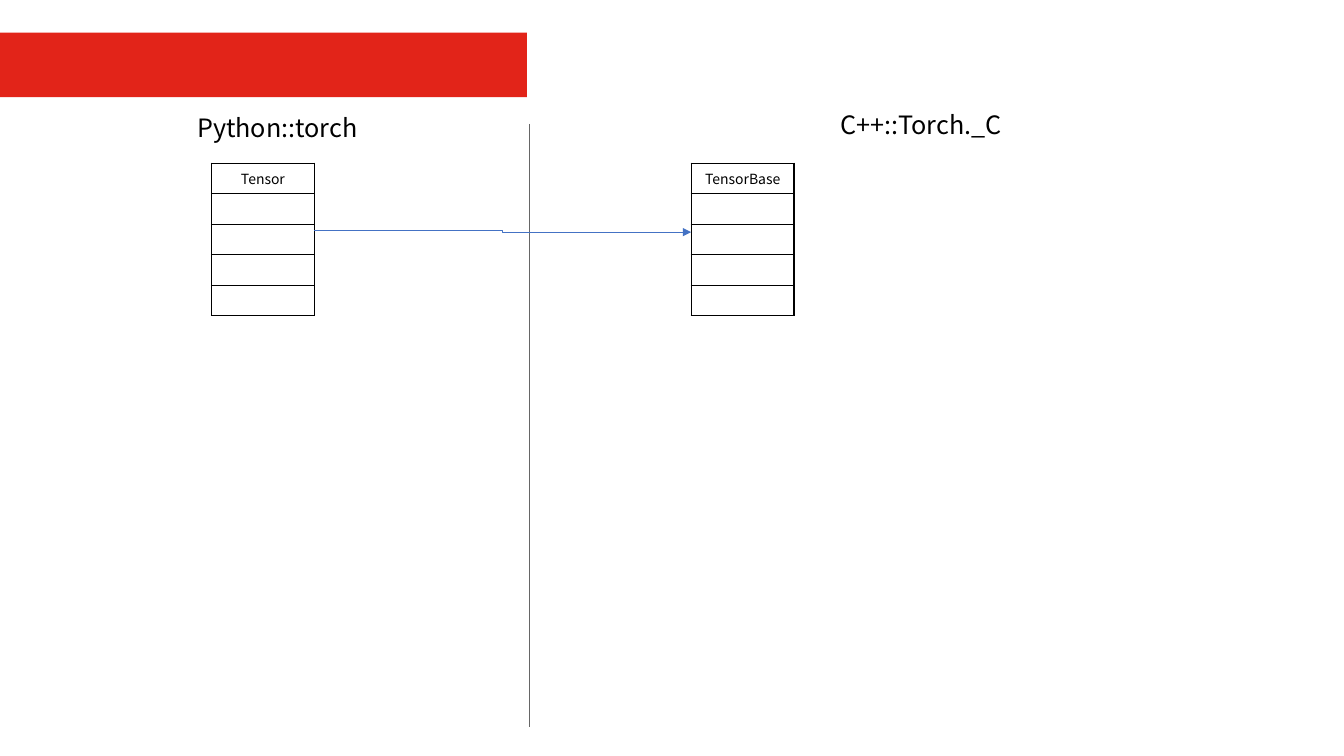
from lxml.etree import SubElement
from pptx import Presentation
from pptx.dml.color import RGBColor
from pptx.enum.shapes import MSO_CONNECTOR as Connector, MSO_SHAPE as Shape
from pptx.enum.text import MSO_ANCHOR as Anchor, PP_ALIGN as Align
from pptx.oxml.ns import qn
from pptx.util import Cm, Pt


def color(value):
    return RGBColor.from_string(value)


class SlideBuilder:
    FONT = "Noto Sans CJK SC"
    INK = "000000"
    RED = "E22419"
    BLUE = "4472C4"
    GRAY = "666666"
    CELL_SIZE = 10
    ROW_HEIGHT = 0.77

    def __init__(self, slide):
        self.slide = slide
        self.shapes = slide.shapes

    def style_runs(self, paragraph, size):
        for run in paragraph.runs:
            run.font.name = self.FONT
            run.font.size = Pt(size)
            run.font.color.rgb = color(self.INK)

    def bar(self, left, top, width, height):
        shape = self.shapes.add_shape(
            Shape.RECTANGLE, Cm(left), Cm(top), Cm(width), Cm(height))
        shape.shadow.inherit = False
        shape.fill.solid()
        shape.fill.fore_color.rgb = color(self.RED)
        shape.line.fill.background()

    def heading(self, text, left, top):
        box = self.shapes.add_textbox(Cm(left), Cm(top), Cm(5.59), Cm(1.02))
        box.text_frame.word_wrap = True
        box.text_frame.text = text
        self.style_runs(box.text_frame.paragraphs[0], 18)

    def class_table(self, name, left, top, width=2.59, rows=5):
        frame = self.shapes.add_table(
            rows, 1, Cm(left), Cm(top), Cm(width), Cm(self.ROW_HEIGHT * rows))
        table = frame.table
        table.first_row = table.horz_banding = False
        table.cell(0, 0).text_frame.text = name
        for row in table.rows:
            row.height = Cm(self.ROW_HEIGHT)
            self.style_cell(row.cells[0])

    def style_cell(self, cell):
        paragraph = cell.text_frame.paragraphs[0]
        paragraph.alignment = Align.CENTER
        self.style_runs(paragraph, self.CELL_SIZE)
        # Empty cells need the small size too, or their rows grow
        end = paragraph._p.get_or_add_endParaRPr()
        end.set("sz", str(self.CELL_SIZE * 100))
        SubElement(end, qn("a:latin"), typeface=self.FONT)
        cell.vertical_anchor = Anchor.MIDDLE
        properties = cell._tc.get_or_add_tcPr()
        for side in ("a:lnL", "a:lnR", "a:lnT", "a:lnB"):
            border = SubElement(properties, qn(side), w=str(Pt(1)))
            fill = SubElement(border, qn("a:solidFill"))
            SubElement(fill, qn("a:srgbClr"), val=self.INK)
        cell.fill.background()

    def line(self, start, end, line_color, kind=Connector.STRAIGHT, arrow=False):
        points = [Cm(value) for value in (*start, *end)]
        connector = self.shapes.add_connector(kind, *points)
        connector.line.width = Pt(0.5)
        connector.line.color.rgb = color(line_color)
        if arrow:
            SubElement(connector.line._get_or_add_ln(), qn("a:tailEnd"),
                       type="triangle")
        SubElement(connector._element.spPr, qn("a:effectLst"))


def main():
    presentation = Presentation()
    presentation.slide_width, presentation.slide_height = Cm(33.87), Cm(19.05)
    slide = presentation.slides.add_slide(presentation.slide_layouts[6])
    builder = SlideBuilder(slide)

    # Title bar
    builder.bar(0, 0.82, 13.28, 1.63)

    # Classes on each side
    builder.class_table("TensorBase", 17.42, 4.11)
    builder.class_table("Tensor", 5.33, 4.11)

    # Divider and headings
    builder.line((13.34, 3.12), (13.34, 18.31), builder.GRAY)
    builder.heading("C++::Torch._C", 20.93, 2.62)
    builder.heading("Python::torch", 4.72, 2.7)

    # Tensor derives from TensorBase
    builder.line((7.92, 5.81), (17.42, 5.85), builder.BLUE,
                 Connector.ELBOW, arrow=True)

    presentation.save("out.pptx")


if __name__ == "__main__":
    main()
